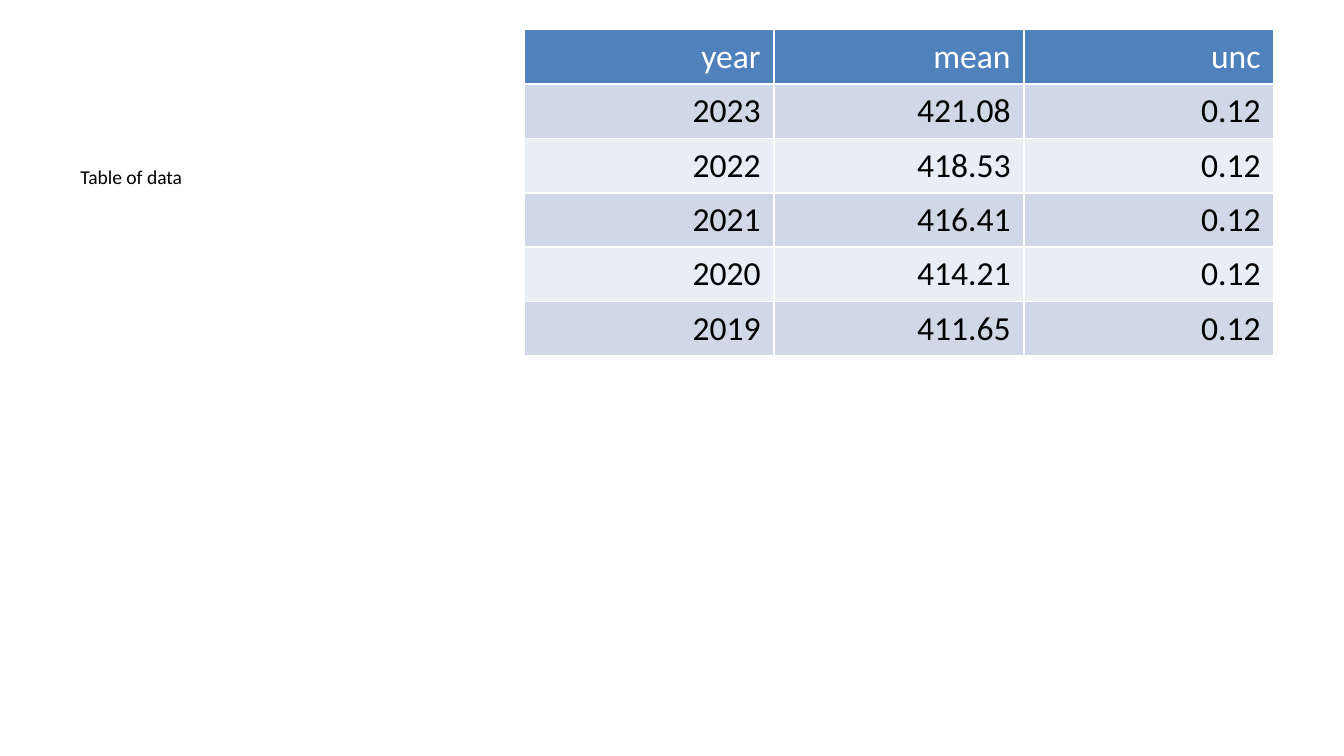
from pptx import Presentation
from pptx.dml.color import RGBColor
from pptx.enum import text
from pptx.util import Inches, Pt

# Content
CAPTION = "Table of data"
HEADER = ("year", "mean", "unc")
RECORDS = [
    ("2023", "421.08", "0.12"),
    ("2022", "418.53", "0.12"),
    ("2021", "416.41", "0.12"),
    ("2020", "414.21", "0.12"),
    ("2019", "411.65", "0.12"),
]

# Style
FONT = "Calibri"
WHITE = RGBColor(0xFF, 0xFF, 0xFF)
BLACK = RGBColor(0x00, 0x00, 0x00)
HEADER_BLUE = RGBColor(0x4F, 0x81, 0xBD)
BANDS = (RGBColor(0xD0, 0xD8, 0xE8), RGBColor(0xE9, 0xED, 0xF4))

# Table area, in inches
TABLE_LEFT, TABLE_TOP = 3.9, 0.22
TABLE_WIDTH, TABLE_HEIGHT = 5.58, 2.43


def add_run(paragraph, content, size, color):
    run = paragraph.add_run()
    run.text = content
    run.font.name = FONT
    run.font.size = Pt(size)
    run.font.bold = False
    run.font.color.rgb = color


# Widescreen slide, 16:9
presentation = Presentation()
presentation.slide_width = Inches(10)
presentation.slide_height = presentation.slide_width * 9 // 16
slide = presentation.slides.add_slide(presentation.slide_layouts[6])

# Caption on the left
caption = slide.shapes.add_textbox(
    Inches(0.5), Inches(1.18), Inches(3.29), Inches(3.85))
caption.text_frame.word_wrap = True
add_run(caption.text_frame.paragraphs[0], CAPTION, 10.5, BLACK)

# Data table on the right; the default table style draws the white borders
rows = [HEADER, *RECORDS]
table = slide.shapes.add_table(
    len(rows), len(HEADER), Inches(TABLE_LEFT), Inches(TABLE_TOP),
    Inches(TABLE_WIDTH), Inches(TABLE_HEIGHT)).table

for row_index, values in enumerate(rows):
    is_header = row_index == 0
    fill_color = HEADER_BLUE if is_header else BANDS[(row_index - 1) % 2]
    for column_index, value in enumerate(values):
        cell = table.cell(row_index, column_index)
        cell.fill.solid()
        cell.fill.fore_color.rgb = fill_color
        paragraph = cell.text_frame.paragraphs[0]
        paragraph.alignment = text.PP_ALIGN.RIGHT
        add_run(paragraph, value, 18, WHITE if is_header else BLACK)

presentation.save("out.pptx")
